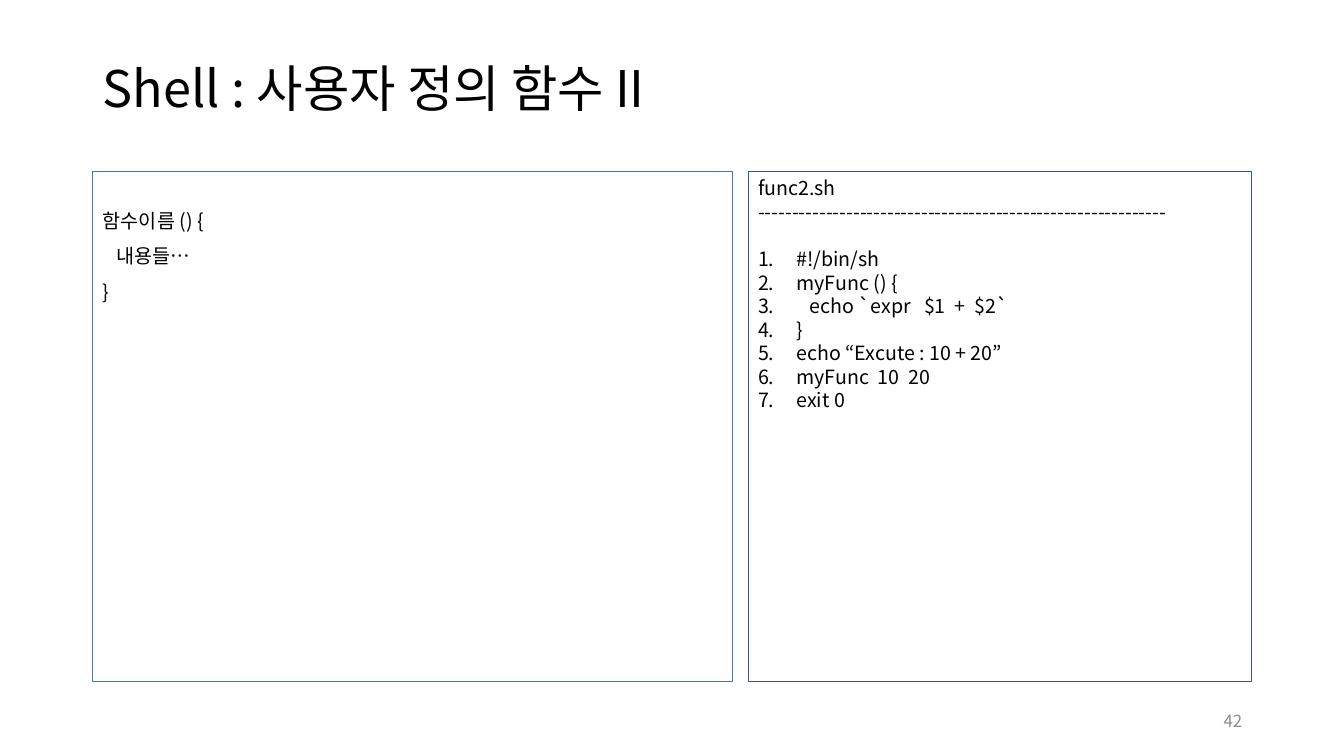
from pptx import Presentation
from pptx.dml.color import RGBColor
from pptx.enum.shapes import MSO_SHAPE
from pptx.enum.text import MSO_ANCHOR, MSO_AUTO_SIZE, PP_ALIGN
from pptx.util import Inches, Pt
from lxml import etree
from pptx.oxml.ns import qn

RECTANGLE = MSO_SHAPE.RECTANGLE
TOP, MIDDLE = MSO_ANCHOR.TOP, MSO_ANCHOR.MIDDLE
LEFT, RIGHT = PP_ALIGN.LEFT, PP_ALIGN.RIGHT
NO_FIT = MSO_AUTO_SIZE.NONE

# Content
TITLE = "Shell : 사용자 정의 함수 II"
SYNTAX = ["함수이름 () {", "   내용들…", "}"]
FILE_HEADER = ["func2.sh", "-" * 60]
SCRIPT_LINES = [
    "#!/bin/sh",
    "myFunc () {",
    "   echo `expr   $1  +  $2`",
    "}",
    "echo “Excute : 10 + 20”",
    "myFunc  10  20",
    "exit 0",
]
PAGE_NUMBER = "42"

THEME = {
    "font": "Noto Sans CJK KR",
    "text": "000000", "muted": "8C8C8C",
    "syntax_line": "4472C4", "script_line": "325491",
    "title_size": 36, "body_size": 14, "number_size": 12,
}

# Layout in inches
MARGIN, PANEL_TOP, PANEL_HEIGHT = 0.92, 1.7, 5.06
SYNTAX_WIDTH, SCRIPT_LEFT, SCRIPT_WIDTH = 6.35, 7.42, 4.99
NUMBER_INDENT = 0.38
BLANK_LINE = 16.8


def place(box, left, top, width, height):
    box.left, box.top = Inches(left), Inches(top)
    box.width, box.height = Inches(width), Inches(height)


def set_frame(box, anchor, margin_top=0.05):
    frame = box.text_frame
    settings = {"word_wrap": True, "auto_size": NO_FIT,
                "vertical_anchor": anchor, "margin_top": Inches(margin_top)}
    for name, value in settings.items():
        setattr(frame, name, value)


def write_lines(box, lines, size, color="text", numbered=False, **paragraph_format):
    """Add lines to a box, filling its first paragraph if it is empty."""
    frame = box.text_frame
    for line in lines:
        para = frame.paragraphs[0]
        first = not para.runs
        if not first:
            para = frame.add_paragraph()
        properties = para._p.get_or_add_pPr()
        indent = Inches(NUMBER_INDENT) if numbered else 0
        properties.set("marL", str(indent))
        properties.set("indent", str(-indent))
        if numbered:
            etree.SubElement(properties, qn("a:buFont"), typeface="+mj-lt")
            etree.SubElement(properties, qn("a:buAutoNum"), type="arabicPeriod")
        else:
            etree.SubElement(properties, qn("a:buNone"))
        settings = {"alignment": LEFT, "space_before": Pt(0), **paragraph_format}
        if first:
            settings["space_before"] = Pt(0)
        for name, value in settings.items():
            setattr(para, name, value)
        span = para.add_run()
        span.text = line
        span.font.name = THEME["font"]
        span.font.size = Pt(THEME[size])
        span.font.color.rgb = RGBColor.from_string(THEME[color])
        latin = span.font._element.find(qn("a:latin"))
        latin.addnext(latin.makeelement(qn("a:ea"), {"typeface": THEME["font"]}))


def outline(box, color, weight):
    box.line.color.rgb = RGBColor.from_string(THEME[color])
    box.line.width = Pt(weight)


deck = Presentation()
deck.slide_width, deck.slide_height = Inches(13.33), Inches(7.5)
page = deck.slides.add_slide(deck.slide_layouts[1])

# Title
title = page.shapes.title
place(title, MARGIN, 0.4, 11.5, 1.01)
set_frame(title, MIDDLE)
write_lines(title, [TITLE], "title_size", line_spacing=0.9)

# Function syntax
syntax = page.placeholders[1]
place(syntax, MARGIN, PANEL_TOP, SYNTAX_WIDTH, PANEL_HEIGHT)
set_frame(syntax, TOP, margin_top=0.4)
outline(syntax, "syntax_line", 0.75)
write_lines(syntax, SYNTAX, "body_size", line_spacing=0.9, space_before=Pt(10))

# Page number
number = page.shapes.add_textbox(Inches(9.42), Inches(6.95), Inches(3), Inches(0.4))
set_frame(number, MIDDLE)
write_lines(number, [PAGE_NUMBER], "number_size", "muted", alignment=RIGHT)

# Example script
script = page.shapes.add_shape(RECTANGLE, Inches(SCRIPT_LEFT), Inches(PANEL_TOP),
                               Inches(SCRIPT_WIDTH), Inches(PANEL_HEIGHT))
script.shadow.inherit = False
script.fill.background()
outline(script, "script_line", 0.25)
set_frame(script, TOP)
write_lines(script, FILE_HEADER, "body_size")
write_lines(script, SCRIPT_LINES[:1], "body_size", numbered=True,
            space_before=Pt(BLANK_LINE))
write_lines(script, SCRIPT_LINES[1:], "body_size", numbered=True)

deck.save("out.pptx")
